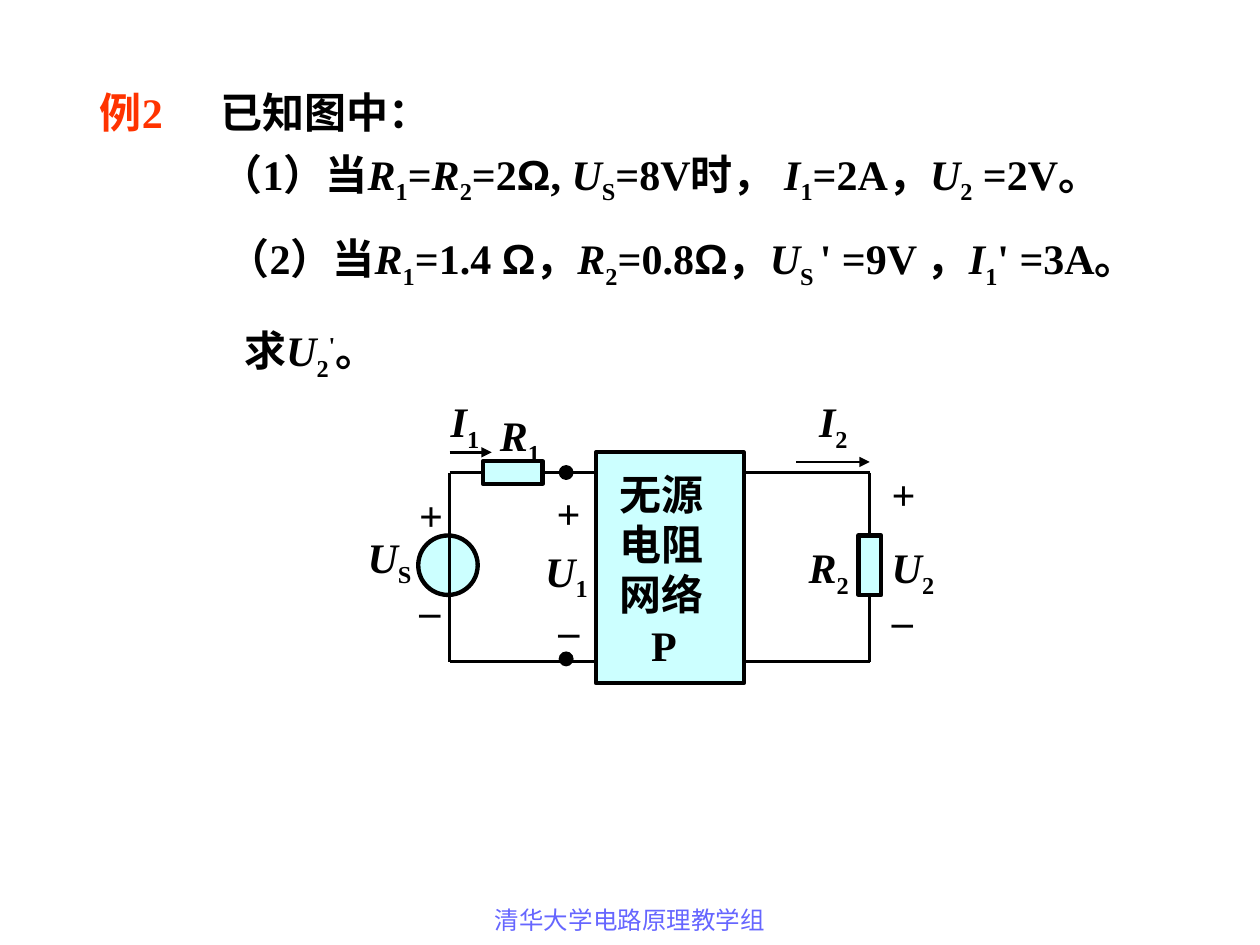
from dataclasses import dataclass

from lxml import etree
from pptx import Presentation
from pptx import util as u
from pptx.dml.color import RGBColor
from pptx.enum import shapes, text
from pptx.oxml import ns


@dataclass(frozen=True)
class Theme:
    ink: str = "000000"
    accent: str = "FF3300"
    fill: str = "CCFFFF"
    footer: str = "6666FF"
    font: str = "Times New Roman"
    symbol_font: str = "Arial"
    body_size: float = 24
    footer_size: float = 14
    wire: float = 1.5
    box_line: float = 2.25
    part_line: float = 2.5


@dataclass(frozen=True)
class Label:
    markup: str
    left: float
    top: float
    width: float = 42
    height: float = 40


@dataclass(frozen=True)
class Part:
    kind: int
    left: float
    top: float
    width: float
    height: float
    fill: str
    line_width: float


@dataclass(frozen=True)
class Wire:
    start: tuple
    end: tuple
    arrow: bool = False
    joint_start: tuple | None = None  # (shape, connection site)
    joint_end: tuple | None = None


THEME = Theme()
BASELINES = {"_": "-25000", "^": "30000"}


def add_markup(paragraph, markup: str, size: float, color: str, bold: bool) -> None:
    """Runs are split by |; a leading / is italic, _ subscript, ^ superscript."""
    for piece in markup.split("|"):
        mark = piece[0] if piece[0] in "/_^" else ""
        run = paragraph.add_run()
        run.text = piece[len(mark):]
        font = run.font
        font.name = THEME.symbol_font if piece == "Ω" else THEME.font
        font.size = u.Pt(size)
        font.bold = bold
        font.italic = mark == "/"
        font.color.rgb = RGBColor.from_string(color)
        if mark in BASELINES:
            run._r.get_or_add_rPr().set("baseline", BASELINES[mark])


def add_text(slide, label: Label, *, size: float = THEME.body_size,
             color: str = THEME.ink, bold: bool = True,
             align=text.PP_ALIGN.LEFT, spacing: float = 1.0):
    shape = slide.shapes.add_textbox(u.Pt(label.left), u.Pt(label.top),
                                     u.Pt(label.width), u.Pt(label.height))
    frame = shape.text_frame
    frame.word_wrap = True
    for index, line in enumerate(label.markup.split("\n")):
        paragraph = frame.add_paragraph() if index else frame.paragraphs[0]
        paragraph.alignment = align
        paragraph.line_spacing = spacing
        add_markup(paragraph, line, size, color, bold)
    return shape


def add_part(slide, part: Part):
    shape = slide.shapes.add_shape(part.kind, u.Pt(part.left), u.Pt(part.top),
                                   u.Pt(part.width), u.Pt(part.height))
    shape.shadow.inherit = False
    shape.fill.solid()
    shape.fill.fore_color.rgb = RGBColor.from_string(part.fill)
    shape.line.color.rgb = RGBColor.from_string(THEME.ink)
    shape.line.width = u.Pt(part.line_width)
    return shape


def add_wire(slide, wire: Wire):
    points = [u.Pt(value) for value in (*wire.start, *wire.end)]
    connector = slide.shapes.add_connector(shapes.MSO_CONNECTOR.STRAIGHT, *points)
    connector.line.color.rgb = RGBColor.from_string(THEME.ink)
    connector.line.width = u.Pt(THEME.wire)
    if wire.arrow:
        etree.SubElement(connector.line._get_or_add_ln(), ns.qn("a:tailEnd"), type="triangle")
    etree.SubElement(connector._element.spPr, ns.qn("a:effectLst"))
    if wire.joint_start:
        connector.begin_connect(*wire.joint_start)
    if wire.joint_end:
        connector.end_connect(*wire.joint_end)
    return connector


def add_problem(slide) -> None:
    add_text(slide, Label("例2", 50, 46, 96, 36), color=THEME.accent)
    justify = text.PP_ALIGN.JUSTIFY
    statements = [
        Label("已知图中：\n（1）当|/R|_1|=|/R|_2|=2|Ω|, |/U|_S|=8V时， |/I|_1|=2A，|/U|_2| =2V。",
              119, 40, 570, 116),
        Label("（2）当|/R|_1|=1.4 |Ω|，|/R|_2|=0.8|Ω|，|/U|_S |' =9V ，|/I|_1|' =3A。",
              123, 123, 597, 47),
    ]
    for statement in statements:
        add_text(slide, statement, align=justify, spacing=1.2)
    add_text(slide, Label("求|/U|_2|^'|。", 132.5, 182, 102, 69))


def add_circuit(slide) -> None:
    rectangle = shapes.MSO_SHAPE.RECTANGLE
    oval = shapes.MSO_SHAPE.OVAL
    top, bottom, left, right = 270, 378, 257, 497
    network_left, network_right, dot_x = 340.5, 425, 323.5

    # Network block
    add_part(slide, Part(rectangle, network_left, 258.5, network_right - network_left,
                         132, THEME.fill, THEME.box_line))
    block = add_text(slide, Label("无源\n电阻\n网络\nP", 347, 264, 84, 122),
                     align=text.PP_ALIGN.JUSTIFY)
    block.text_frame.paragraphs[-1]._p.get_or_add_pPr().set("marL", str(u.Pt(18)))

    # Quantities and polarity signs
    labels = [
        Label("–", 312, 342, 24, 36), Label("+", 311, 275, 30, 36),
        Label("/U|_1", 304.5, 308),
        Label("+", 232.5, 276, 30, 36), Label("–", 232.5, 330.5, 24, 36),
        Label("/U|_S", 203, 300),
        Label("/R|_1", 278.5, 230.5, 48), Label("/I|_1", 250.5, 222.5),
        Label("/I|_2", 461, 222.5),
        Label("–", 502.5, 336, 24, 36), Label("+", 502.5, 264, 30, 36),
        Label("/U|_2", 502.5, 306), Label("/R|_2", 455, 306, 48),
    ]
    for label in labels:
        add_text(slide, label)

    # Source and resistors
    add_part(slide, Part(oval, 239, 306, 34, 34, THEME.fill, THEME.part_line))
    r1 = add_part(slide, Part(rectangle, 276, top - 6.5, 34, 13, THEME.fill, THEME.part_line))
    r2 = add_part(slide, Part(rectangle, right - 6.5, 306, 13, 34, THEME.fill, THEME.part_line))

    # Wires and current arrows
    wires = [
        Wire((left, top), (left, bottom)),
        Wire((left, bottom), (network_left, bottom)),
        Wire((left, top), (276, top), joint_end=(r1, 1)),
        Wire((310, top), (network_left, top), joint_start=(r1, 3)),
        Wire((network_right, top), (right, top)),
        Wire((network_right, bottom), (right, bottom)),
        Wire((right, top), (right, 306), joint_end=(r2, 0)),
        Wire((right, 340), (right, bottom), joint_start=(r2, 2)),
        Wire((left, 258.5), (281, 258.5), arrow=True),
        Wire((455, 264), (right, 264), arrow=True),
    ]
    for wire in wires:
        add_wire(slide, wire)

    # Port terminals
    for dot_y in (top, bottom - 1.5):
        add_part(slide, Part(oval, dot_x - 3.5, dot_y - 3.5, 7, 7, THEME.ink, THEME.wire))


def main() -> None:
    presentation = Presentation()
    presentation.slide_width, presentation.slide_height = u.Pt(720), u.Pt(540)
    slide = presentation.slides.add_slide(presentation.slide_layouts[6])
    add_problem(slide)
    add_circuit(slide)
    # Footer
    add_text(slide, Label("清华大学电路原理教学组", 246, 513.5, 228, 26.5),
             size=THEME.footer_size, color=THEME.footer, bold=False,
             align=text.PP_ALIGN.CENTER)
    presentation.save("out.pptx")


if __name__ == "__main__":
    main()
